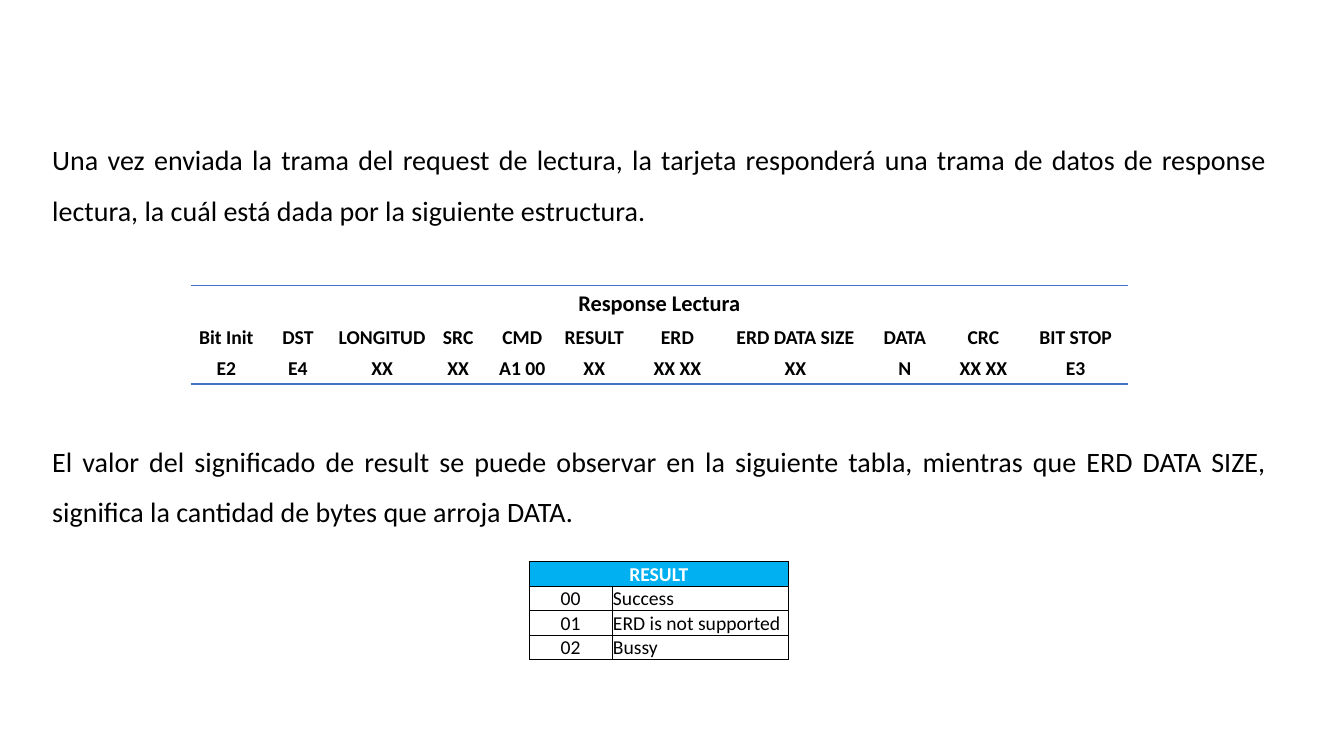
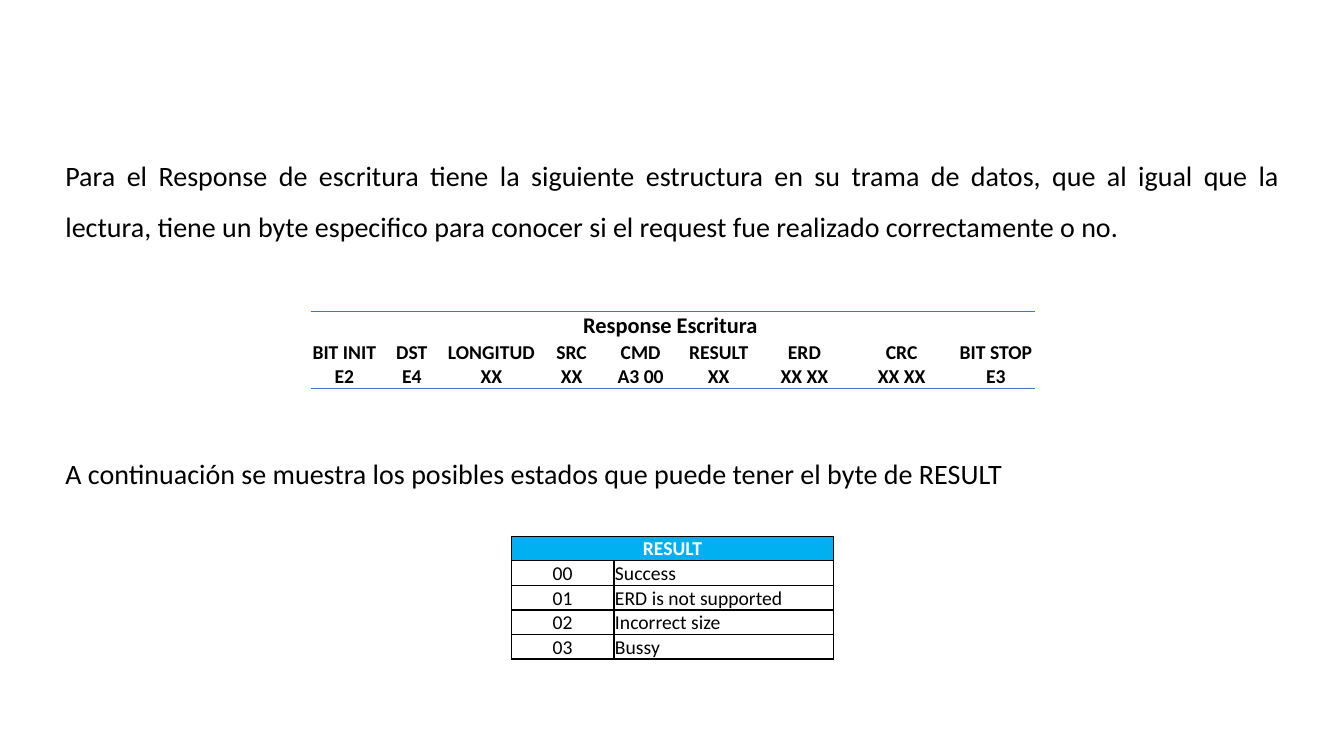
import pptx
import pptx.dml.color
import pptx.enum.text
import pptx.oxml.ns
import pptx.util
from lxml import etree
from pptx.util import Inches

COLORS = {"text": "000000", "light": "FFFFFF", "header": "00B0F0", "rule": "4472C4", "grid": "000000"}
FONT = "Calibri"
ALIGN = pptx.enum.text.PP_ALIGN
rgb = pptx.dml.color.RGBColor.from_string


def add_text(text_frame, text, size, color="text", bold=False, align=ALIGN.CENTER):
    paragraph = text_frame.paragraphs[0]
    paragraph.alignment = align
    run = paragraph.add_run()
    run.text = text
    run.font.name = FONT
    run.font.size = pptx.util.Pt(size)
    run.font.bold = bold
    run.font.color.rgb = rgb(COLORS[color])
    return paragraph


def add_table(slide, left, top, widths, heights, title, rows, grid_width=None):
    """Add a titled table: fully gridded if grid_width is given, else a frame with top and bottom rules."""
    frame = slide.shapes.add_table(len(heights), len(widths), Inches(left), Inches(top),
                                   Inches(sum(widths)), Inches(sum(heights)))
    table = frame.table
    table.first_row = False
    table.horz_banding = False
    for column, width in zip(table.columns, widths):
        column.width = Inches(width)
    for row, height in zip(table.rows, heights):
        row.height = Inches(height)
    table.cell(0, 0).merge(table.cell(0, len(widths) - 1))

    last_row = len(heights) - 1
    for row_index in range(len(heights)):
        for column_index in range(len(widths)):
            cell = table.cell(row_index, column_index)
            cell.margin_left = cell.margin_right = cell.margin_top = Inches(0.01)
            cell.margin_bottom = 0
            cell.vertical_anchor = pptx.enum.text.MSO_ANCHOR.MIDDLE

            # Borders come before the fill in the cell properties
            properties = cell._tc.get_or_add_tcPr()
            for side in "LRTB":
                line = etree.SubElement(properties, pptx.oxml.ns.qn("a:ln" + side))
                ruled = (side == "T" and row_index == 0) or (side == "B" and row_index == last_row)
                if grid_width or ruled:
                    line.set("w", str(pptx.util.Pt(grid_width or 1)))
                    solid = etree.SubElement(line, pptx.oxml.ns.qn("a:solidFill"))
                    color = etree.SubElement(solid, pptx.oxml.ns.qn("a:srgbClr"))
                    color.set("val", COLORS["grid" if grid_width else "rule"])
                else:
                    etree.SubElement(line, pptx.oxml.ns.qn("a:noFill"))
            if grid_width and row_index == 0:
                cell.fill.solid()
                cell.fill.fore_color.rgb = rgb(COLORS["header"])
            else:
                cell.fill.background()

            # Title row, then values
            if row_index > 0:
                align = ALIGN.LEFT if grid_width and column_index == 1 else ALIGN.CENTER
                add_text(cell.text_frame, rows[row_index - 1][column_index], 14,
                         bold=not grid_width, align=align)
            elif column_index == 0:
                add_text(cell.text_frame, title, 14 if grid_width else 16,
                         "light" if grid_width else "text", True)


# Content of each slide
slides = [
    {
        "paragraphs": [
            (0.42, 1.2, 1.06, "Una vez enviada la trama del request de lectura, la tarjeta responderá una trama de "
                              "datos de response lectura, la cuál está dada por la siguiente estructura. "),
            (0.42, 4.19, 1.06, "El valor del significado de result se puede observar en la siguiente tabla, mientras "
                               "que ERD DATA SIZE, significa la cantidad de bytes que arroja DATA."),
        ],
        "frame": {
            "left": 1.89, "top": 2.83, "title": "Response Lectura",
            "widths": [0.71, 0.71, 0.96, 0.55, 0.72, 0.71, 0.94, 1.4, 0.77, 0.79, 1.04],
            "heights": [0.36, 0.31, 0.31],
            "rows": [
                ["Bit Init", "DST", "LONGITUD", "SRC", "CMD", "RESULT", "ERD", "ERD DATA SIZE", "DATA", "CRC",
                 "BIT STOP"],
                ["E2", "E4", "XX", "XX", "A1 00", "XX", "XX XX", "XX", "N", "XX XX", "E3"],
            ],
        },
        "result": {"left": 5.25, "top": 5.57, "widths": [0.82, 1.75], "grid_width": 0.5},
        "states": ["Success", "ERD is not supported", "Bussy"],
    },
    {
        "paragraphs": [
            (0.55, 1.36, 1.06, "Para el Response de escritura tiene la siguiente estructura en su trama de datos, que "
                               "al igual que la lectura, tiene un byte especifico para conocer si el request fue "
                               "realizado correctamente o no. "),
            (0.55, 4.31, 0.55, "A continuación se muestra los posibles estados que puede tener el byte de RESULT"),
        ],
        "frame": {
            "left": 3.08, "top": 3.09, "title": "Response Escritura ",
            "widths": [0.67, 0.67, 0.91, 0.68, 0.69, 0.86, 0.84, 1.09, 0.78],
            "heights": [0.28, 0.24, 0.24],
            "rows": [
                ["BIT INIT", "DST", "LONGITUD", "SRC", "CMD", "RESULT", "ERD", "CRC", "BIT STOP"],
                ["E2", "E4", "XX", "XX", "A3 00", "XX", "XX XX", "XX XX", "E3"],
            ],
        },
        "result": {"left": 5.07, "top": 5.32, "widths": [1.02, 2.18], "grid_width": 1},
        "states": ["Success", "ERD is not supported", "Incorrect size", "Bussy"],
    },
]

presentation = pptx.Presentation()
presentation.slide_width = Inches(13.33)
presentation.slide_height = Inches(7.5)
blank_layout = presentation.slide_layouts[6]

for content in slides:
    slide = presentation.slides.add_slide(blank_layout)

    # Explanations
    for left, top, height, text in content["paragraphs"]:
        box = slide.shapes.add_textbox(Inches(left), Inches(top), Inches(12.24), Inches(height))
        box.text_frame.word_wrap = True
        box.text_frame.auto_size = pptx.enum.text.MSO_AUTO_SIZE.SHAPE_TO_FIT_TEXT
        add_text(box.text_frame, text, 20, align=ALIGN.JUSTIFY).line_spacing = 1.5

    # Data frame and result codes
    add_table(slide, **content["frame"])
    result_rows = [[f"{code:02d}", state] for code, state in enumerate(content["states"])]
    add_table(slide, title="RESULT", rows=result_rows, heights=[0.24] * (len(result_rows) + 1), **content["result"])

presentation.save("out.pptx")
